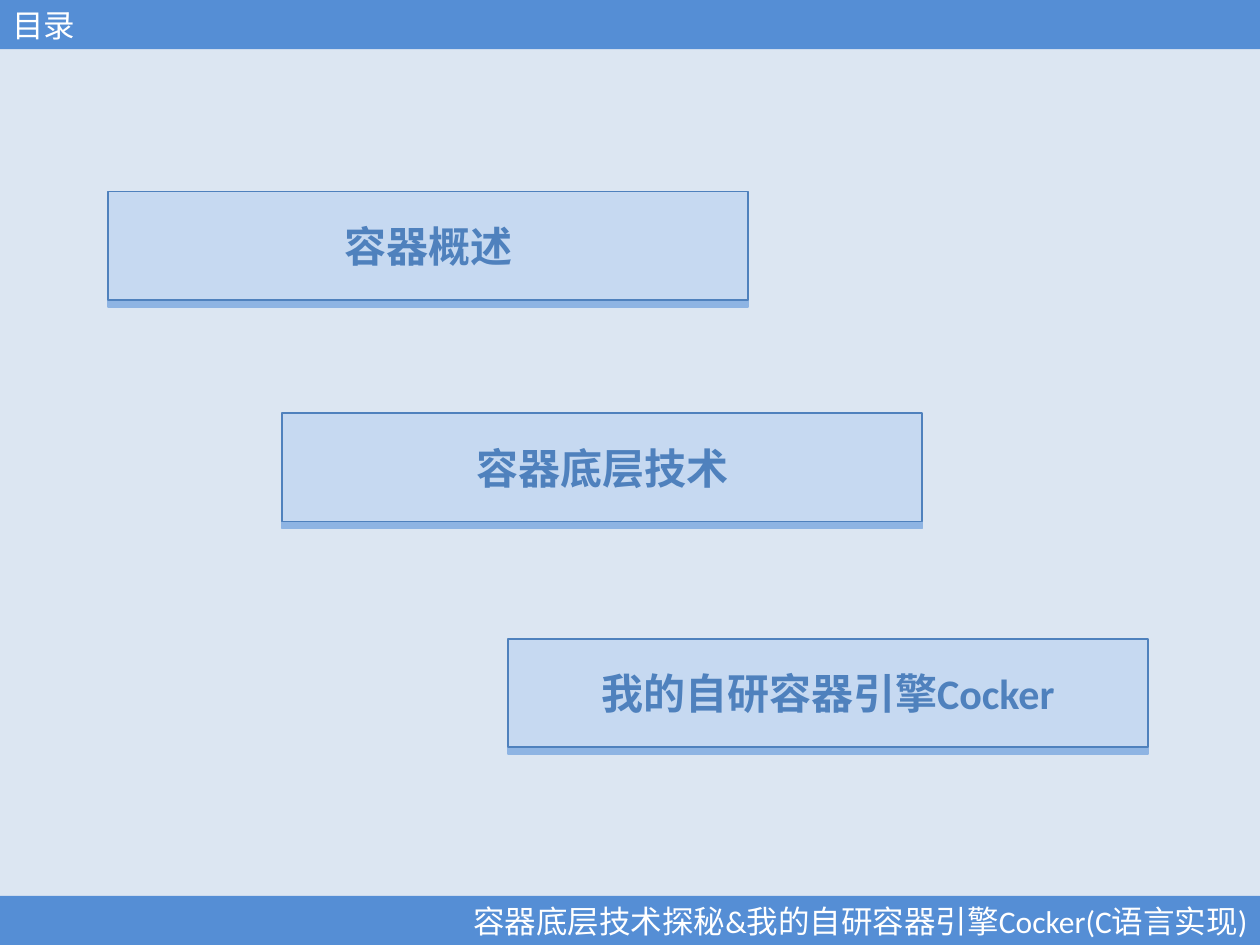
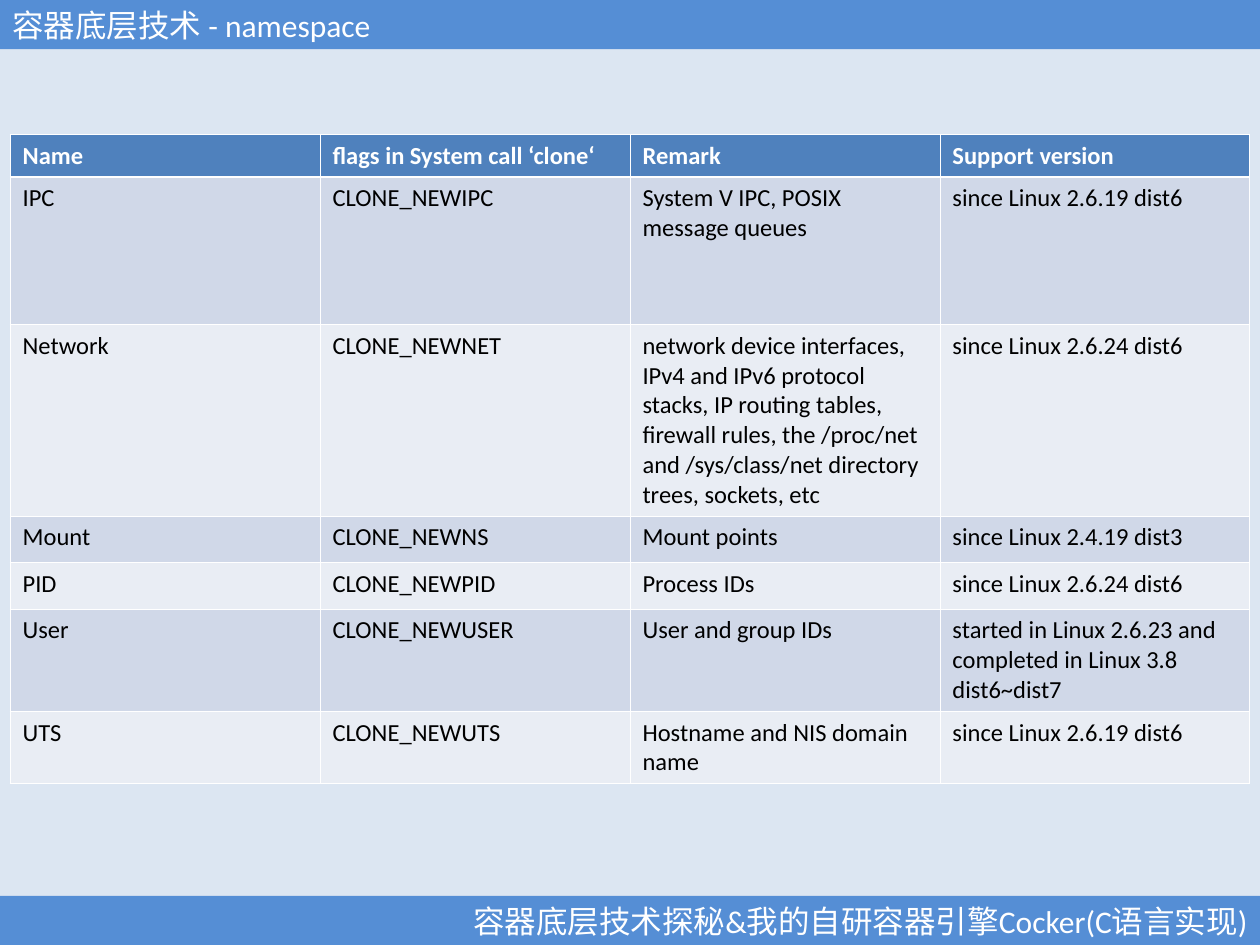
from lxml import etree
from pptx import Presentation
from pptx.dml.color import RGBColor
from pptx.enum import shapes, text
from pptx.oxml import ns
from pptx.util import Inches, Pt

# Content
FOOTER = "容器底层技术探秘&我的自研容器引擎Cocker(C语言实现)"
AGENDA_TITLE = "目录"
AGENDA = [  # text, left, top
    ("容器概述", 0.86, 1.52),
    ("容器底层技术", 2.24, 3.28),
    ("我的自研容器引擎Cocker", 4.03, 5.07),
]
NAMESPACE_TITLE = "容器底层技术 - namespace"
NAMESPACES = [
    ("Name", "flags in System call ‘clone‘", "Remark", "Support version"),
    ("IPC", "CLONE_NEWIPC", "System V IPC, POSIX message queues",
     "since Linux 2.6.19 dist6"),
    ("Network", "CLONE_NEWNET",
     "network device interfaces, IPv4 and IPv6 protocol stacks, "
     "IP routing tables, firewall rules, the /proc/net and "
     "/sys/class/net directory trees, sockets, etc",
     "since Linux 2.6.24 dist6"),
    ("Mount", "CLONE_NEWNS", "Mount points", "since Linux 2.4.19 dist3"),
    ("PID", "CLONE_NEWPID", "Process IDs", "since Linux 2.6.24 dist6"),
    ("User", "CLONE_NEWUSER", "User and group IDs",
     "started in Linux 2.6.23 and completed in Linux 3.8 dist6~dist7"),
    ("UTS", "CLONE_NEWUTS", "Hostname and NIS domain name",
     "since Linux 2.6.19 dist6"),
]
ROW_HEIGHTS = [0.33, 1.17, 1.5, 0.37, 0.37, 0.8, 0.57]

# Shared style
FONT = "Calibri"
WHITE = RGBColor(0xFF, 0xFF, 0xFF)
BLACK = RGBColor(0, 0, 0)
BACKGROUND = RGBColor(0xDC, 0xE6, 0xF2)
BAND = RGBColor(0x55, 0x8E, 0xD5)
ACCENT = RGBColor(0x4F, 0x81, 0xBD)
BOX = RGBColor(0xC6, 0xD9, 0xF1)
BOX_SHADOW = RGBColor(0x8E, 0xB4, 0xE3)
ROW_FILLS = [RGBColor(0xE9, 0xED, 0xF4), RGBColor(0xD0, 0xD8, 0xE8)]
LEFT, CENTER, RIGHT = (text.PP_ALIGN.LEFT, text.PP_ALIGN.CENTER,
                       text.PP_ALIGN.RIGHT)
WIDTH, HEIGHT, BAND_HEIGHT = 10, 7.5, 0.39
BOX_WIDTH, BOX_HEIGHT = 5.08, 0.86
TABLE_LEFT, TABLE_TOP, COL_WIDTH = 0.08, 1.07, 2.46
THIN, THICK = 0.45, 1.47


def write(tf, words, size, color, bold=False, align=LEFT):
    tf.text = words
    p = tf.paragraphs[0]
    p.alignment = align
    font = p.runs[0].font
    font.name, font.size, font.bold = FONT, Pt(size), bold
    font.color.rgb = color


def add_rect(slide, left, top, width, height, fill):
    sp = slide.shapes.add_shape(
        shapes.MSO_SHAPE.RECTANGLE, Inches(left), Inches(top),
        Inches(width), Inches(height))
    sp.shadow.inherit = False
    sp.fill.solid()
    sp.fill.fore_color.rgb = fill
    sp.line.fill.background()
    sp.text_frame.word_wrap = True
    sp.text_frame.vertical_anchor = text.MSO_ANCHOR.MIDDLE
    return sp


def add_slide(prs, title):
    slide = prs.slides.add_slide(prs.slide_layouts[6])
    slide.background.fill.solid()
    slide.background.fill.fore_color.rgb = BACKGROUND
    for words, top, align in ((title, 0, LEFT),
                              (FOOTER, HEIGHT - BAND_HEIGHT, RIGHT)):
        band = add_rect(slide, 0, top, WIDTH, BAND_HEIGHT, BAND)
        write(band.text_frame, words, 18, WHITE, align=align)
    return slide


def add_color(parent, color):
    etree.SubElement(parent, ns.qn("a:srgbClr"), val=str(color))


def drop_shadow(sp, color, distance):
    effects = sp._element.spPr.find(ns.qn("a:effectLst"))
    shadow = etree.SubElement(
        effects, ns.qn("a:outerShdw"), blurRad="0", dist=str(Pt(distance)),
        dir="5400000", algn="t", rotWithShape="0")
    add_color(shadow, color)


def set_borders(cell, top, bottom):
    tc_pr = cell._tc.get_or_add_tcPr()
    sides = (("L", THIN), ("R", THIN), ("T", top), ("B", bottom))
    for i, (side, width) in enumerate(sides):
        ln = etree.Element(ns.qn(f"a:ln{side}"), w=str(Pt(width)))
        add_color(etree.SubElement(ln, ns.qn("a:solidFill")), WHITE)
        tc_pr.insert(i, ln)


def build_agenda(prs):
    slide = add_slide(prs, AGENDA_TITLE)
    for words, left, top in AGENDA:
        box = add_rect(slide, left, top, BOX_WIDTH, BOX_HEIGHT, BOX)
        box.line.color.rgb = ACCENT
        box.line.width = Pt(1)
        drop_shadow(box, BOX_SHADOW, 4)
        write(box.text_frame, words, 24, ACCENT, True, CENTER)


def build_namespaces(prs):
    slide = add_slide(prs, NAMESPACE_TITLE)
    cols = len(NAMESPACES[0])
    table = slide.shapes.add_table(
        len(NAMESPACES), cols, Inches(TABLE_LEFT), Inches(TABLE_TOP),
        Inches(COL_WIDTH * cols), Inches(sum(ROW_HEIGHTS))).table
    for col in table.columns:
        col.width = Inches(COL_WIDTH)
    for r, (values, height) in enumerate(zip(NAMESPACES, ROW_HEIGHTS)):
        table.rows[r].height = Inches(height)
        header = r == 0
        for c, value in enumerate(values):
            cell = table.cell(r, c)
            cell.fill.solid()
            cell.fill.fore_color.rgb = ACCENT if header else ROW_FILLS[r % 2]
            set_borders(cell, THICK if r == 1 else THIN,
                        THICK if header else THIN)
            write(cell.text_frame, value, 14, WHITE if header else BLACK,
                  header)


def main():
    prs = Presentation()
    prs.slide_width, prs.slide_height = Inches(WIDTH), Inches(HEIGHT)
    build_agenda(prs)
    build_namespaces(prs)
    prs.save("out.pptx")


if __name__ == "__main__":
    main()
